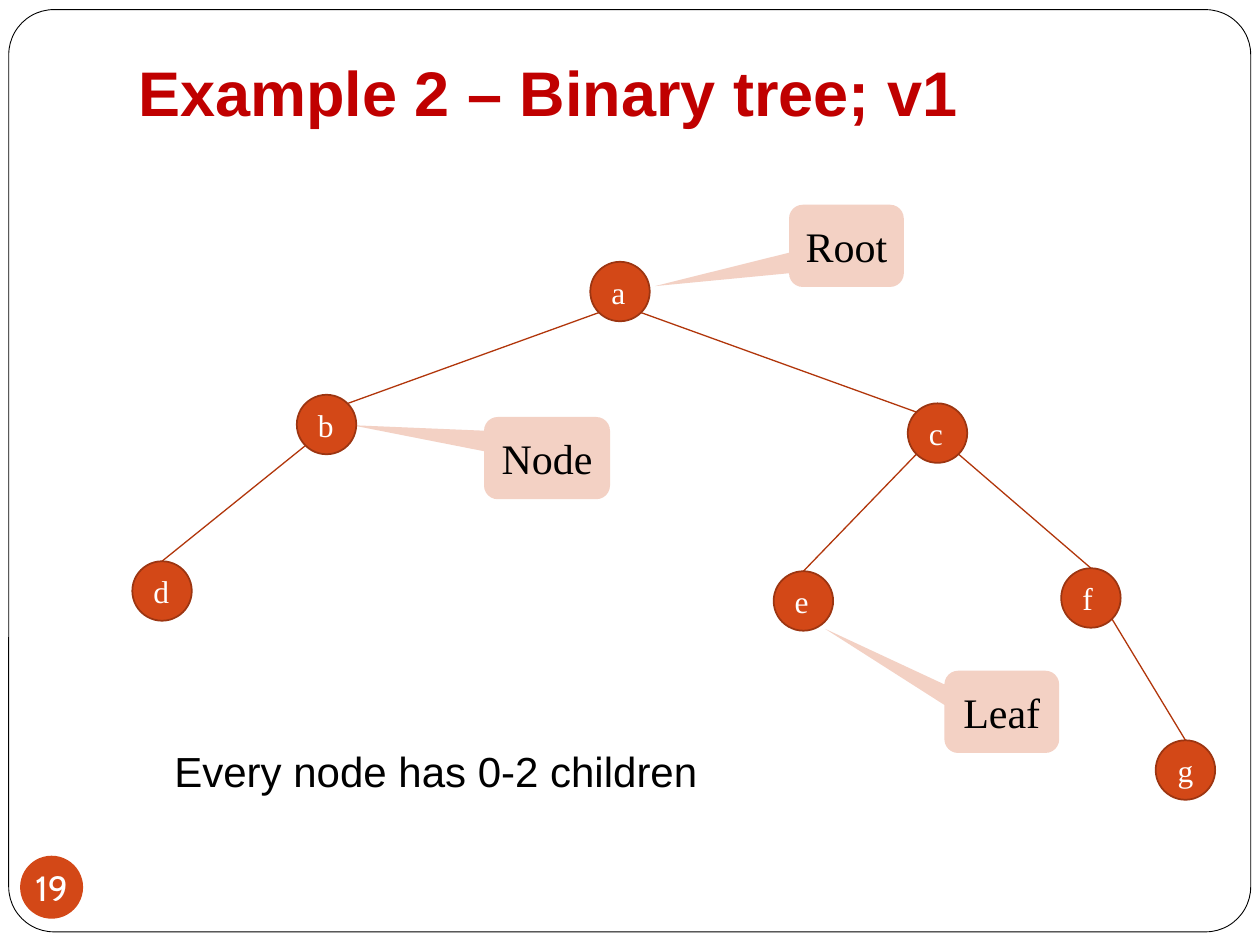
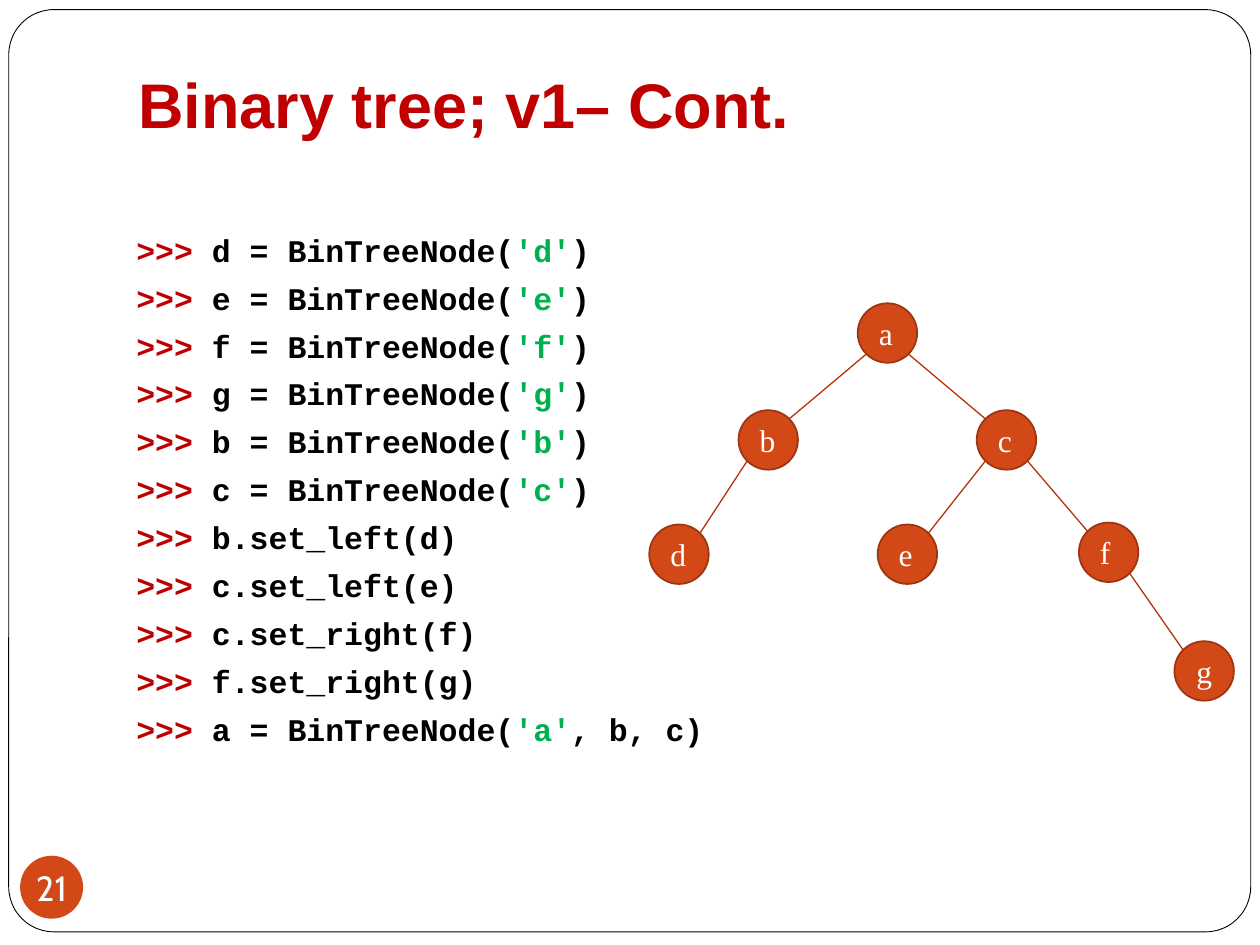
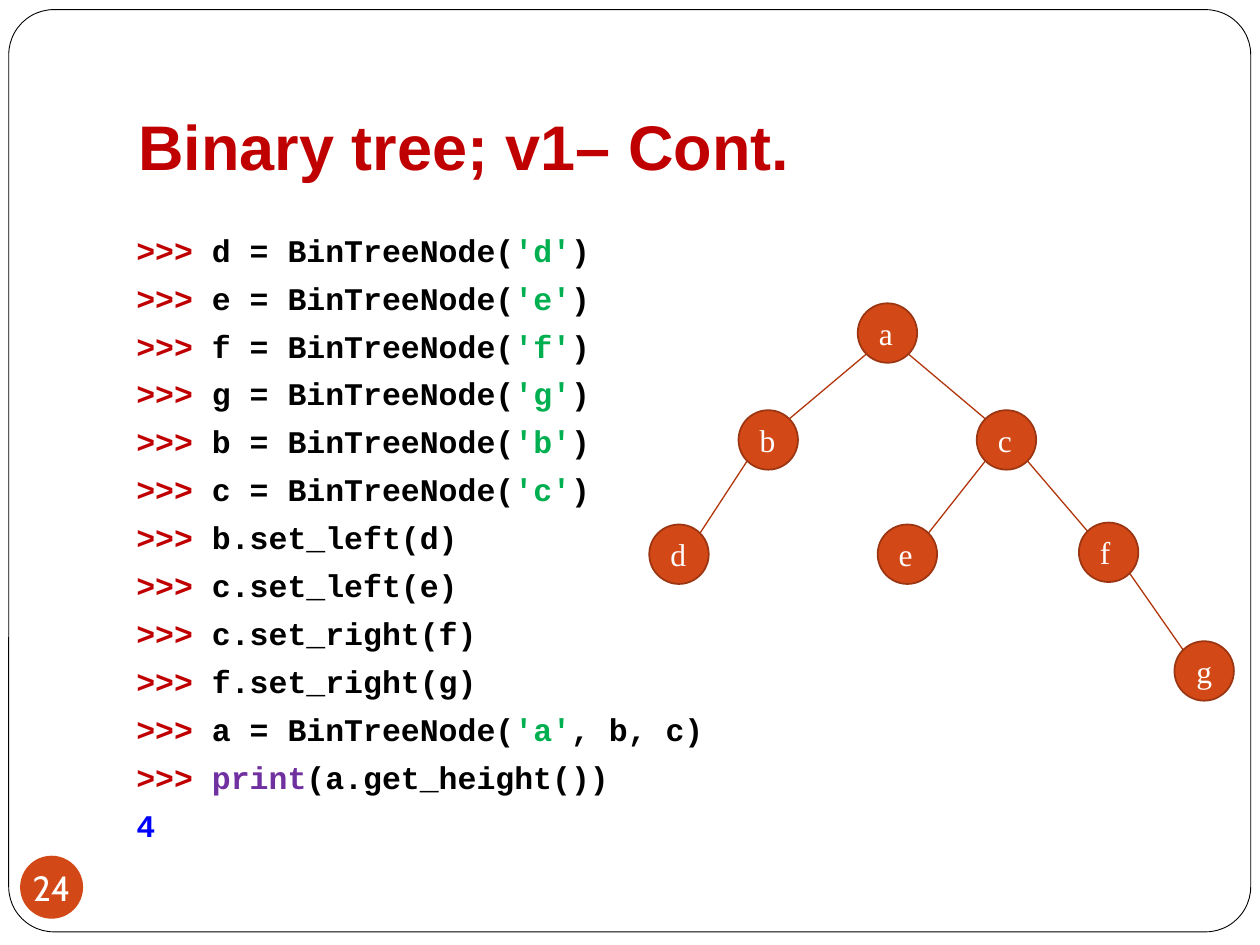
from math import sqrt

from lxml import etree
from pptx import Presentation
from pptx.dml.color import RGBColor
from pptx.enum.shapes import MSO_CONNECTOR, MSO_SHAPE
from pptx.enum.text import MSO_ANCHOR, PP_ALIGN
from pptx.oxml.ns import qn
from pptx.util import Pt

ROUNDED = MSO_SHAPE.ROUNDED_RECTANGLE
OVAL = MSO_SHAPE.OVAL
CALLOUT = MSO_SHAPE.ROUNDED_RECTANGULAR_CALLOUT
STRAIGHT = MSO_CONNECTOR.STRAIGHT
TOP, MIDDLE, BOTTOM = MSO_ANCHOR.TOP, MSO_ANCHOR.MIDDLE, MSO_ANCHOR.BOTTOM
LEFT, CENTER = PP_ALIGN.LEFT, PP_ALIGN.CENTER

WHITE = RGBColor(0xFF, 0xFF, 0xFF)
BLACK = RGBColor(0, 0, 0)
ORANGE = RGBColor(0xD3, 0x48, 0x17)
NODE_EDGE = RGBColor(0x9C, 0x35, 0x11)
BRANCH = RGBColor(0xB1, 0x36, 0x0B)
RED = RGBColor(0xC0, 0, 0)
GREEN = RGBColor(0, 0xB0, 0x50)
PURPLE = RGBColor(0x70, 0x30, 0xA0)
BLUE = RGBColor(0, 0, 0xFF)

SANS, SERIF, MONO, NUMBER_FONT = "Arial", "Times New Roman", "Courier New", "Cabin"
RADIUS = 17
DIAGONAL = RADIUS / sqrt(2)

BRANCHES = ["ab", "ac", "bd", "ce", "cf", "fg"]
WIDE_TREE = {
    "a": (354.3, 166.6), "b": (186.6, 242.6), "c": (535.7, 247.5), "d": (92.6, 337.7),
    "e": (459.1, 343.4), "f": (623.4, 341.7), "g": (677.4, 440),
}
SMALL_TREE = {
    "a": (507.1, 190.3), "b": (439, 251.4), "c": (575.1, 251.4), "d": (388, 316.7),
    "e": (518.5, 316.7), "f": (633.5, 315.6), "g": (688.1, 383.4),
}


def style_font(font, name, size, color, bold=False):
    """Set the look of a paragraph or run font."""
    font.name, font.size, font.bold = name, Pt(size), bold
    font.color.rgb = color


def write_text(shape, text, name, size, color, align=LEFT, anchor=MIDDLE, bold=False):
    """Write one paragraph into a shape and return its text frame."""
    frame = shape.text_frame
    frame.word_wrap = True
    frame.vertical_anchor = anchor
    paragraph = frame.paragraphs[0]
    paragraph.text = text
    paragraph.alignment = align
    style_font(paragraph.font, name, size, color, bold)
    return frame


def add_box(slide, kind, left, top, width, height, fill, line=None, line_width=1):
    """Add a flat preset shape."""
    shape = slide.shapes.add_shape(kind, Pt(left), Pt(top), Pt(width), Pt(height))
    shape.shadow.inherit = False
    shape.fill.solid()
    shape.fill.fore_color.rgb = fill
    if line is None:
        shape.line.fill.background()
    else:
        shape.line.color.rgb = line
        shape.line.width = Pt(line_width)
    return shape


def add_textbox(slide, left, top, width, height):
    """Add an empty text box."""
    return slide.shapes.add_textbox(Pt(left), Pt(top), Pt(width), Pt(height))


def add_slide(presentation, title, title_height, number):
    """Add a slide with the frame, title and round page number."""
    slide = presentation.slides.add_slide(presentation.slide_layouts[6])
    frame = add_box(slide, ROUNDED, 5, 5.5, 709.7, 527, WHITE, BLACK, 0.5)
    frame.adjustments[0] = 0.049
    heading = add_textbox(slide, 72, 21.6, 612, title_height)
    text_frame = write_text(heading, title, SANS, 36, RED, anchor=BOTTOM, bold=True)
    text_frame.margin_bottom = Pt(7.2)
    badge = add_box(slide, OVAL, 11.5, 489, 36, 36, ORANGE)
    text_frame = write_text(badge, str(number), NUMBER_FONT, 20, WHITE, CENTER)
    text_frame.word_wrap = False
    text_frame.margin_left = text_frame.margin_right = 0
    text_frame.margin_top = text_frame.margin_bottom = 0
    return slide


def add_branch(slide, parent, child, top_ended):
    """Draw a line from a parent's lower diagonal to its child."""
    side = 1 if child[0] > parent[0] else -1
    start = parent[0] + side * DIAGONAL, parent[1] + DIAGONAL
    if top_ended:
        end = child[0], child[1] - RADIUS
    else:
        end = child[0] - side * DIAGONAL, child[1] - DIAGONAL
    points = [Pt(value) for value in start + end]
    connector = slide.shapes.add_connector(STRAIGHT, *points)
    connector.line.color.rgb = BRANCH
    connector.line.width = Pt(0.75)
    etree.SubElement(connector._element.spPr, qn("a:effectLst"))


def add_tree(slide, centers, top_ended=""):
    """Draw the branches and nodes; children in top_ended are reached at the top."""
    for parent, child in BRANCHES:
        add_branch(slide, centers[parent], centers[child], child in top_ended)
    for name, (x, y) in centers.items():
        node = add_box(slide, OVAL, x - RADIUS, y - RADIUS, 2 * RADIUS, 2 * RADIUS,
                       ORANGE, NODE_EDGE)
        write_text(node, name, SERIF, 18, WHITE, CENTER if name == "g" else LEFT)


def add_callout(slide, text, left, top, width, tip_x, tip_y):
    """Add a translucent callout whose tip is given relative to its size."""
    callout = add_box(slide, CALLOUT, left, top, width, 47, ORANGE)
    callout.adjustments[0] = tip_x
    callout.adjustments[1] = tip_y
    color = callout._element.spPr.find(qn("a:solidFill")).find(qn("a:srgbClr"))
    etree.SubElement(color, qn("a:alpha"), val="25000")
    write_text(callout, text, SERIF, 24, BLACK, CENTER)


def prompt(*runs):
    """Return the runs of an interpreter input line."""
    return [(">>> ", RED), *runs]


def make_node(name, rest=")"):
    """Return the runs of a line that creates a tree node."""
    return prompt((f"{name} = BinTreeNode(", BLACK), (f"'{name}'", GREEN), (rest, BLACK))


def add_code(slide, lines):
    """Add the interpreter session."""
    frame = add_textbox(slide, 70.8, 128.2, 364, 323).text_frame
    frame.word_wrap = True
    frame.vertical_anchor = TOP
    for index, runs in enumerate(lines):
        paragraph = frame.add_paragraph() if index else frame.paragraphs[0]
        if index:
            paragraph.space_before = Pt(5.8)
        for text, color in runs:
            run = paragraph.add_run()
            run.text = text
            style_font(run.font, MONO, 18, color, True)


def main():
    """Build the three slides."""
    presentation = Presentation()
    presentation.slide_width, presentation.slide_height = Pt(720), Pt(540)

    slide = add_slide(presentation, "Example 2 – Binary tree; v1", 59.4, 19)
    add_tree(slide, WIDE_TREE, "defg")
    note = add_textbox(slide, 92.6, 422.6, 338, 36)
    write_text(note, "Every node has 0-2 children", SANS, 24, BLACK, anchor=TOP)
    add_callout(slide, "Root", 450.9, 117, 65.6, -1.67, 0.49)
    add_callout(slide, "Leaf", 539.7, 383.3, 65.6, -1.54, -1.01)
    add_callout(slide, "Node", 276.6, 238.3, 72, -1.55, -0.4)

    calls = ["b.set_left(d)", "c.set_left(e)", "c.set_right(f)", "f.set_right(g)"]
    session = [make_node(name) for name in "defgbc"]
    session += [prompt((call, BLACK)) for call in calls]
    session.append(make_node("a", ", b, c)"))
    height_query = [prompt(("print", PURPLE), ("(a.get_height())", BLACK)), [("4", BLUE)]]

    for number, title_height, lines in [(21, 66.2, session),
                                        (24, 90, session + height_query)]:
        slide = add_slide(presentation, "Binary tree; v1– Cont.", title_height, number)
        add_code(slide, lines)
        add_tree(slide, SMALL_TREE)

    presentation.save("out.pptx")


if __name__ == "__main__":
    main()
